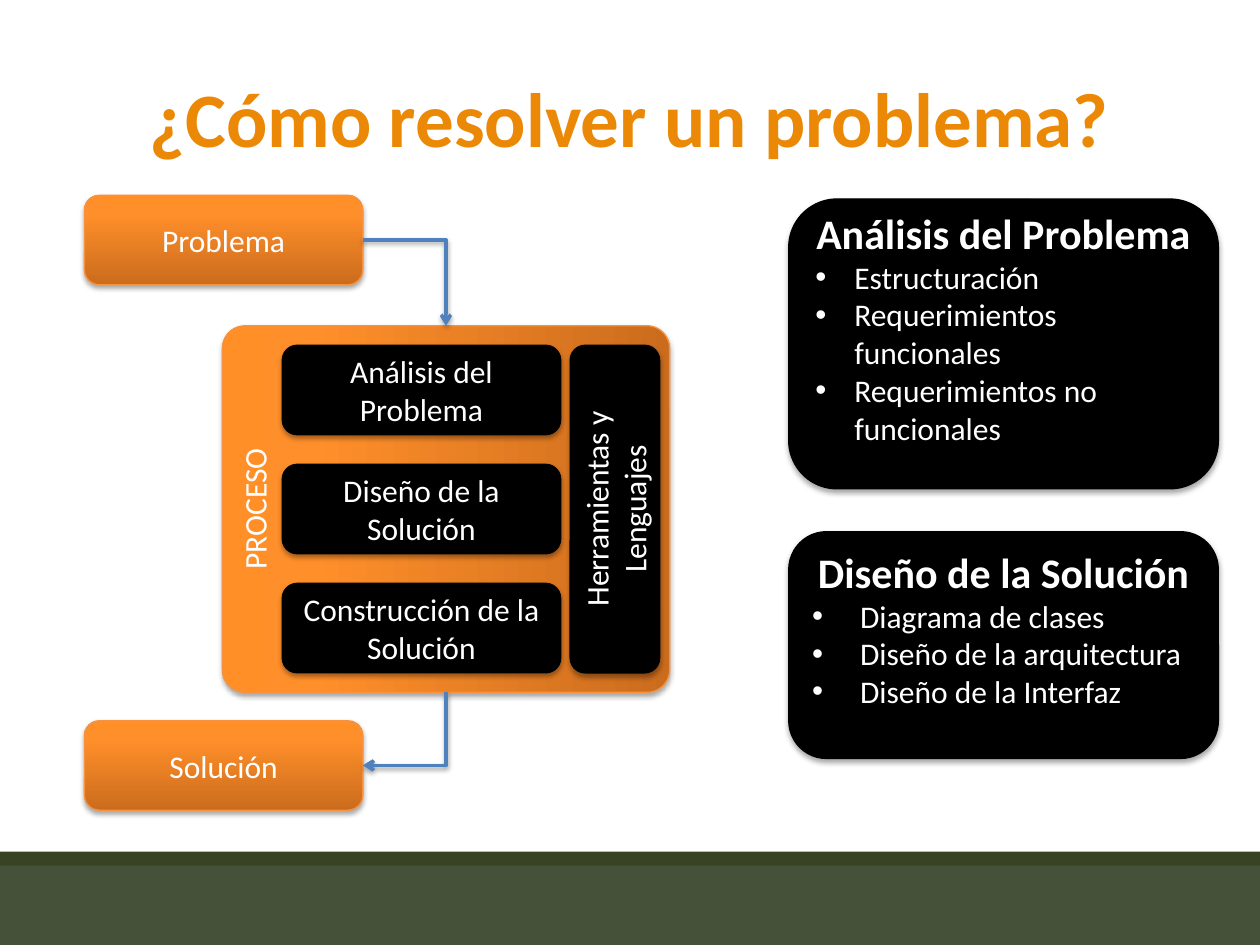
import pptx
import pptx.util
import pptx.dml.color
import pptx.enum.shapes
import pptx.enum.text
import pptx.oxml
import pptx.oxml.ns
from lxml import etree

Inches, Pt = pptx.util.Inches, pptx.util.Pt
RGBColor = pptx.dml.color.RGBColor
SHAPE = pptx.enum.shapes.MSO_SHAPE
ANCHOR = pptx.enum.text.MSO_ANCHOR
ALIGN = pptx.enum.text.PP_ALIGN
qn = pptx.oxml.ns.qn

# Content
TITLE = "¿Cómo resolver un problema?"
START, END = "Problema", "Solución"
PROCESS = "PROCESO"
STEPS = ["Análisis del Problema", "Diseño de la Solución", "Construcción de la Solución"]
TOOLS = "Herramientas y Lenguajes"
PANELS = [  # heading, bullets, top, height, bullet indent
    (STEPS[0], ["Estructuración", "Requerimientos funcionales",
                "Requerimientos no funcionales"], 1.58, 2.3, 0.31),
    (STEPS[1], ["Diagrama de clases", "Diseño de la arquitectura",
                "Diseño de la Interfaz"], 4.22, 1.8, 0.38),
]

# Colours
TITLE_ORANGE = RGBColor(0xEB, 0x89, 0x06)
EDGE_ORANGE = RGBColor(0xF6, 0x92, 0x40)
BLUE = RGBColor(0x4F, 0x81, 0xBD)
BLACK = RGBColor(0, 0, 0)
WHITE = RGBColor(0xFF, 0xFF, 0xFF)
DARK_GREEN = RGBColor(0x37, 0x43, 0x23)
GREEN = RGBColor(0x45, 0x51, 0x39)
ORANGE_STOPS = [(0, RGBColor(0xCB, 0x6C, 0x1D)), (80, RGBColor(0xFF, 0x8F, 0x2A)),
                (100, RGBColor(0xFF, 0x8F, 0x26))]

# Layout, in inches
WIDTH, HEIGHT = 10, 7.5
BOX_W, BOX_H = 2.21, 0.71
END_LEFT, START_TOP, END_TOP = 0.67, 1.55, 5.72
PROCESS_X, PROCESS_Y = 3.54, 4.04
PROCESS_W, PROCESS_H = 3.55, 2.91
STEP_LEFT, STEP_PITCH = 2.24, 0.945
TOOLS_X, TOOLS_H = 4.88, 2.6
PANEL_LEFT, PANEL_W = 6.26, 3.41
BANDS = [(6.76, 0.12, DARK_GREEN), (6.87, 0.63, GREEN)]


def add_shadow(shape, alpha, distance):
    effects = etree.SubElement(shape._element.spPr, qn("a:effectLst"))
    outer = etree.SubElement(effects, qn("a:outerShdw"), blurRad=str(Pt(3.1)),
                             dist=str(Pt(distance)), dir="5400000", rotWithShape="0")
    color = etree.SubElement(outer, qn("a:srgbClr"), val=str(BLACK))
    etree.SubElement(color, qn("a:alpha"), val=str(alpha * 1000))


def fill_orange(shape):
    gradient = etree.SubElement(shape._element.spPr, qn("a:gradFill"), rotWithShape="1")
    stops = etree.SubElement(gradient, qn("a:gsLst"))
    for position, color in ORANGE_STOPS:
        stop = etree.SubElement(stops, qn("a:gs"), pos=str(position * 1000))
        etree.SubElement(stop, qn("a:srgbClr"), val=str(color))
    etree.SubElement(gradient, qn("a:lin"), ang="16200000", scaled="0")


def style_text(para, size, color=WHITE, bold=False, align=ALIGN.CENTER):
    para.alignment = align
    for span in para.runs:
        span.font.name = "Calibri"
        span.font.size = Pt(size)
        span.font.bold = bold
        span.font.color.rgb = color


def add_box(slide, text, left, top, width, height, orange=False, size=18, bold=False):
    box = slide.shapes.add_shape(SHAPE.ROUNDED_RECTANGLE, Inches(left), Inches(top),
                                 Inches(width), Inches(height))
    if orange:
        fill_orange(box)
    else:
        box.fill.solid()
        box.fill.fore_color.rgb = BLACK
    box.line.color.rgb = EDGE_ORANGE if orange else BLACK
    box.line.width = Pt(0.75)
    add_shadow(box, 35, 1.8)
    frame = box.text_frame
    frame.word_wrap = True
    frame.vertical_anchor = ANCHOR.MIDDLE
    frame.text = text
    style_text(frame.paragraphs[0], size, bold=bold)
    return box


def add_upright_box(slide, text, center_x, center_y, width, height, orange=False):
    """Box whose text reads upwards; width and height are as seen."""
    box = add_box(slide, text, center_x - height / 2, center_y - width / 2,
                  height, width, orange)
    box.rotation = 270
    return box


def add_bullet(frame, text, indent):
    para = frame.add_paragraph()
    para.text = text
    props = para._p.get_or_add_pPr()
    props.set("marL", str(Inches(indent)))
    props.set("indent", str(-Inches(indent)))
    etree.SubElement(props, qn("a:buFont"), typeface="Arial")
    etree.SubElement(props, qn("a:buChar"), char="•")
    style_text(para, 18, align=ALIGN.LEFT)


def add_bent_arrow(slide, left, top, width, height, turned=False):
    """One-bend arrow: right then down, or down then left when turned."""
    if turned:
        left, top = left + (width - height) / 2, top + (height - width) / 2
        width, height = height, width
    arrow = slide.shapes.add_connector(
        pptx.enum.shapes.MSO_CONNECTOR.ELBOW, Inches(left), Inches(top),
        Inches(left + width), Inches(top + height))
    props = arrow._element.spPr
    props.find(qn("a:prstGeom")).set("prst", "bentConnector2")
    if turned:
        props.find(qn("a:xfrm")).set("rot", "5400000")
    arrow.line.color.rgb = BLUE
    arrow.line.width = Pt(2)
    etree.SubElement(props.find(qn("a:ln")), qn("a:tailEnd"), type="arrow")
    add_shadow(arrow, 38, 1.6)


def main():
    deck = pptx.Presentation()
    deck.slide_width, deck.slide_height = Inches(WIDTH), Inches(HEIGHT)
    slide = deck.slides.add_slide(deck.slide_layouts[5])

    # Title
    title = slide.shapes.title
    title.left, title.top = Inches(0.5), Inches(0.3)
    title.width, title.height = Inches(9), Inches(1.25)
    title.text_frame.text = TITLE
    title.text_frame.vertical_anchor = ANCHOR.MIDDLE
    style_text(title.text_frame.paragraphs[0], 44, TITLE_ORANGE, bold=True)

    # Footer bands
    for top, height, color in BANDS:
        band = slide.shapes.add_shape(SHAPE.RECTANGLE, 0, Inches(top),
                                      Inches(WIDTH), Inches(height))
        band.shadow.inherit = False
        band.fill.solid()
        band.fill.fore_color.rgb = color
        band.line.fill.background()

    # Process frame with its steps and tools
    process = add_upright_box(slide, PROCESS, PROCESS_X, PROCESS_Y,
                              PROCESS_W, PROCESS_H, orange=True)
    process.adjustments[0] = 0.062
    process.text_frame.vertical_anchor = ANCHOR.TOP
    for row, step in enumerate(STEPS):
        center_y = PROCESS_Y + (row - 1) * STEP_PITCH
        add_box(slide, step, STEP_LEFT, center_y - BOX_H / 2, BOX_W, BOX_H)
    add_upright_box(slide, TOOLS, TOOLS_X, PROCESS_Y, BOX_H, TOOLS_H)

    # Start and end of the flow
    for text, top in ((START, START_TOP), (END, END_TOP)):
        add_box(slide, text, END_LEFT, top, BOX_W, BOX_H, orange=True)
    box_right = END_LEFT + BOX_W
    reach = PROCESS_X - box_right
    start_y, end_y = START_TOP + BOX_H / 2, END_TOP + BOX_H / 2
    process_top, process_bottom = PROCESS_Y - PROCESS_H / 2, PROCESS_Y + PROCESS_H / 2
    add_bent_arrow(slide, box_right, start_y, reach, process_top - start_y)
    add_bent_arrow(slide, box_right, process_bottom, reach, end_y - process_bottom, turned=True)

    # Detail panels
    for heading, bullets, top, height, indent in PANELS:
        panel = add_box(slide, heading, PANEL_LEFT, top, PANEL_W, height, size=24, bold=True)
        panel.text_frame.margin_bottom = Inches(0.32)
        for bullet in bullets:
            add_bullet(panel.text_frame, bullet, indent)

    deck.save("out.pptx")


if __name__ == "__main__":
    main()
